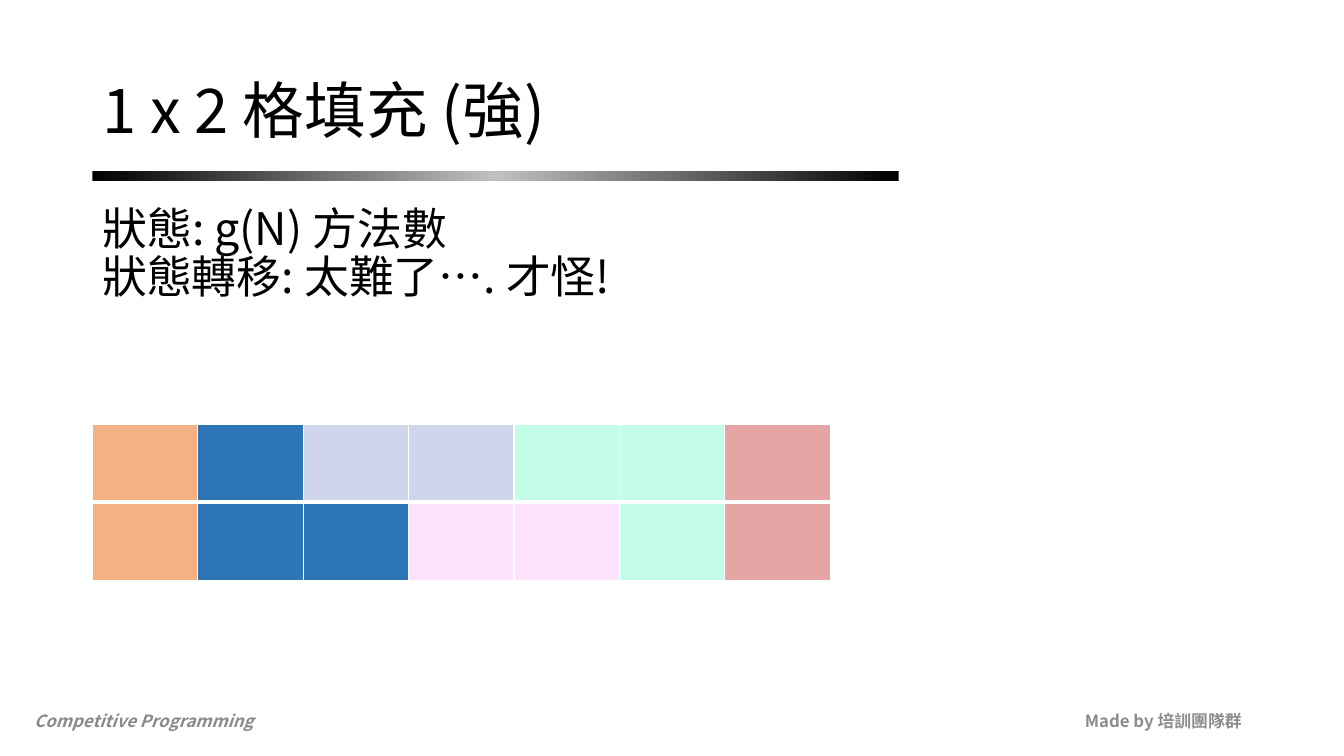
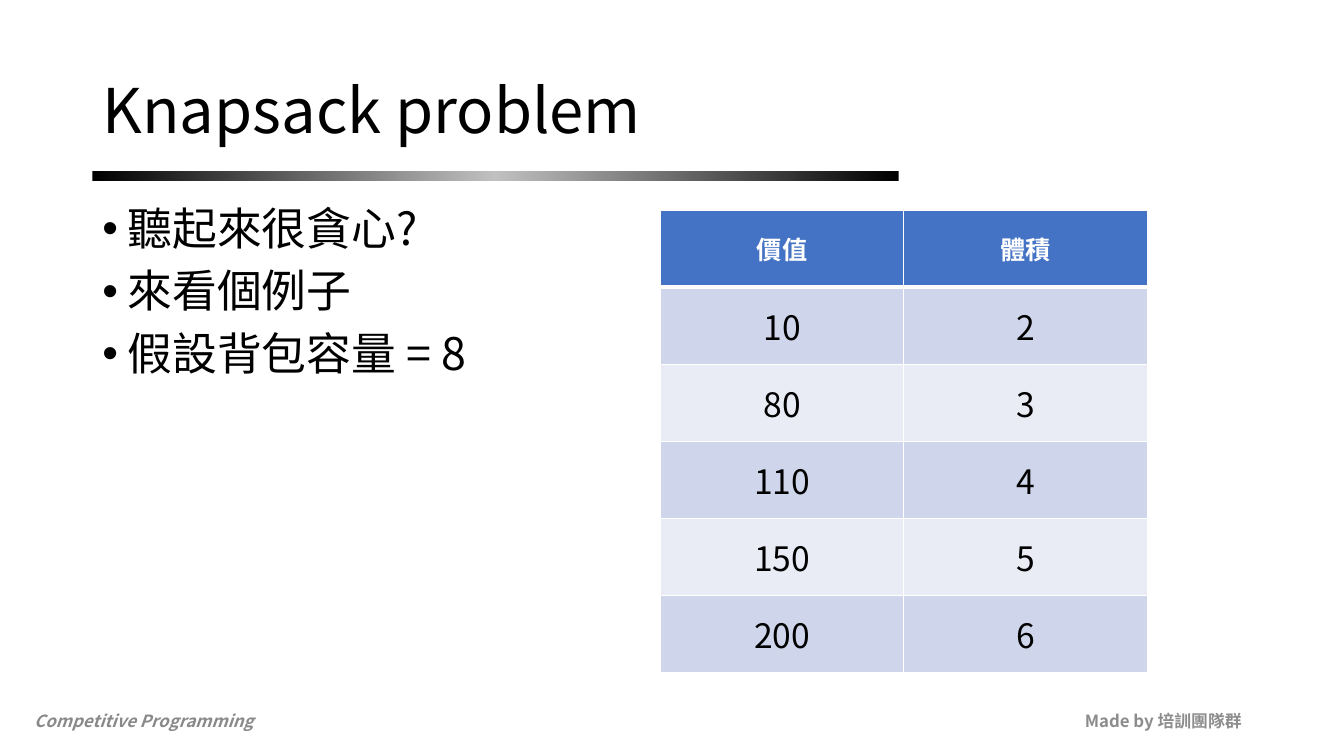
import pptx
import pptx.dml.color
import pptx.enum.shapes
import pptx.enum.text
import pptx.oxml
import pptx.oxml.ns
import pptx.util
from lxml import etree

FONT = "Noto Sans CJK SC"
HUES = {
    "ink": "000000", "shine": "C0C0C0", "white": "FFFFFF",
    "maker": "8C8C8C", "course": "898989",
    "head": "4472C4", "dark": "CFD5EA", "light": "E9EBF5",
    "orange": "F4B183", "blue": "2E75B6", "mint": "C3FDE7",
    "pink": "FCE2FD", "red": "E5A5A5",
}
ALIGN = pptx.enum.text.PP_ALIGN
ANCHOR = pptx.enum.text.MSO_ANCHOR
qn = pptx.oxml.ns.qn

deck = pptx.Presentation()
deck.slide_width = pptx.util.Inches(13.333)
deck.slide_height = pptx.util.Inches(7.5)
UNIT = deck.slide_width / 160  # the slide is a grid of 160 columns by 90 rows
LEFT, WIDE = 11, 138


def write(frame, text, size=32, hue="ink", bold=False, italic=False,
          align=ALIGN.LEFT, anchor=ANCHOR.TOP, lead=1.0, gap=0, bullet=False):
    """Fill a text frame, one paragraph for each line of text."""
    frame.word_wrap = True
    frame.vertical_anchor = anchor
    for i, line in enumerate(text.split("\n")):
        para = frame.add_paragraph() if i else frame.paragraphs[0]
        if bullet:
            props = para._p.get_or_add_pPr()
            props.set("marL", str(pptx.util.Inches(0.25)))
            props.set("indent", str(-pptx.util.Inches(0.25)))
            etree.SubElement(props, qn("a:buFont"), typeface="Arial")
            etree.SubElement(props, qn("a:buChar"), char="•")
        para.alignment = align
        para.line_spacing = lead
        para.space_before = pptx.util.Pt(gap if i else 0)
        run = para.add_run()
        run.text = line
        font = run.font
        font.name, font.size = FONT, pptx.util.Pt(size)
        font.bold, font.italic = bold, italic
        font.color.rgb = pptx.dml.color.RGBColor.from_string(HUES[hue])
        etree.SubElement(run._r.get_or_add_rPr(), qn("a:ea"), typeface=FONT)


tiles = [
    "orange blue dark dark mint mint red".split(),
    "orange blue blue pink pink mint red".split(),
]
goods = [("價值", "體積"), ("10", "2"), ("80", "3"),
         ("110", "4"), ("150", "5"), ("200", "6")]
bands = [["head"] * 2] + [["dark"] * 2, ["light"] * 2] * 2 + [["dark"] * 2]

pages = [
    {"title": "1 x 2 格填充 (強)",
     "body": "狀態: g(N) 方法數\n狀態轉移: 太難了…. 才怪!",
     "style": {},
     "fills": tiles, "words": None,
     "spot": (LEFT, 50.5), "cell": (12.55, 9.3)},
    {"title": "Knapsack problem",
     "body": "聽起來很貪心?\n來看個例子\n假設背包容量 = 8",
     "style": {"gap": 10, "bullet": True},
     "fills": bands, "words": goods,
     "spot": (78.6, 25), "cell": (29, 9.18)},
]

for page in pages:
    slide = deck.slides.add_slide(deck.slide_layouts[6])

    # Rule under the title
    rule = slide.shapes.add_shape(
        pptx.enum.shapes.MSO_SHAPE.RECTANGLE,
        *(round(n * UNIT) for n in (LEFT, 20.4, 96, 1.1)))
    rule.shadow.inherit = False
    rule.line.fill.background()
    rule.fill.gradient()
    rule.fill.gradient_angle = 0
    stops = rule._element.spPr.find(".//" + qn("a:gsLst"))
    stops.clear()
    for spot, hue in ((0, "ink"), (50, "shine"), (100, "ink")):
        stop = etree.SubElement(stops, qn("a:gs"), pos=str(spot * 1000))
        etree.SubElement(stop, qn("a:srgbClr"), val=HUES[hue])

    # Footers, title and body
    foot = {"size": 12, "bold": True, "anchor": ANCHOR.MIDDLE}
    texts = [
        ("Made by 培訓團隊群", (113, 83.4, 36, 4.8),
         {**foot, "hue": "maker", "align": ALIGN.RIGHT}),
        ("Competitive Programming", (2.9, 83.4, 36, 4.8),
         {**foot, "hue": "course", "italic": True}),
        (page["title"], (LEFT, 4.8, WIDE, 17.4),
         {"size": 44, "lead": 0.9, "anchor": ANCHOR.MIDDLE}),
        (page["body"], (LEFT, 24, WIDE, 57),
         {"lead": 0.9, **page["style"]}),
    ]
    for text, area, style in texts:
        box = slide.shapes.add_textbox(*(round(n * UNIT) for n in area))
        write(box.text_frame, text, **style)

    # Table
    fills, words = page["fills"], page["words"]
    rows, cols = len(fills), len(fills[0])
    wide, high = (round(n * UNIT) for n in page["cell"])
    left, top = (round(n * UNIT) for n in page["spot"])
    table = slide.shapes.add_table(
        rows, cols, left, top, wide * cols, high * rows).table
    table.horz_banding = False
    table.first_row = words is not None
    for col in table.columns:
        col.width = wide
    for r, hues in enumerate(fills):
        table.rows[r].height = high
        edges = {"L": 1, "R": 1, "T": 3 if r == 1 else 1,
                 "B": 3 if r == 0 else 1}
        for c, hue in enumerate(hues):
            cell = table.cell(r, c)
            cell.fill.solid()
            cell.fill.fore_color.rgb = pptx.dml.color.RGBColor.from_string(HUES[hue])
            props = cell._tc.get_or_add_tcPr()
            for i, (side, width) in enumerate(edges.items()):
                line = etree.Element(qn("a:ln" + side), w=str(pptx.util.Pt(width)))
                paint = etree.SubElement(line, qn("a:solidFill"))
                etree.SubElement(paint, qn("a:srgbClr"), val=HUES["white"])
                props.insert(i, line)
            if words:
                head = r == 0
                write(cell.text_frame, words[r][c], size=18 if head else 24,
                      hue="white" if head else "ink", bold=head,
                      align=ALIGN.CENTER)
                cell.vertical_anchor = ANCHOR.MIDDLE

deck.save("out.pptx")
